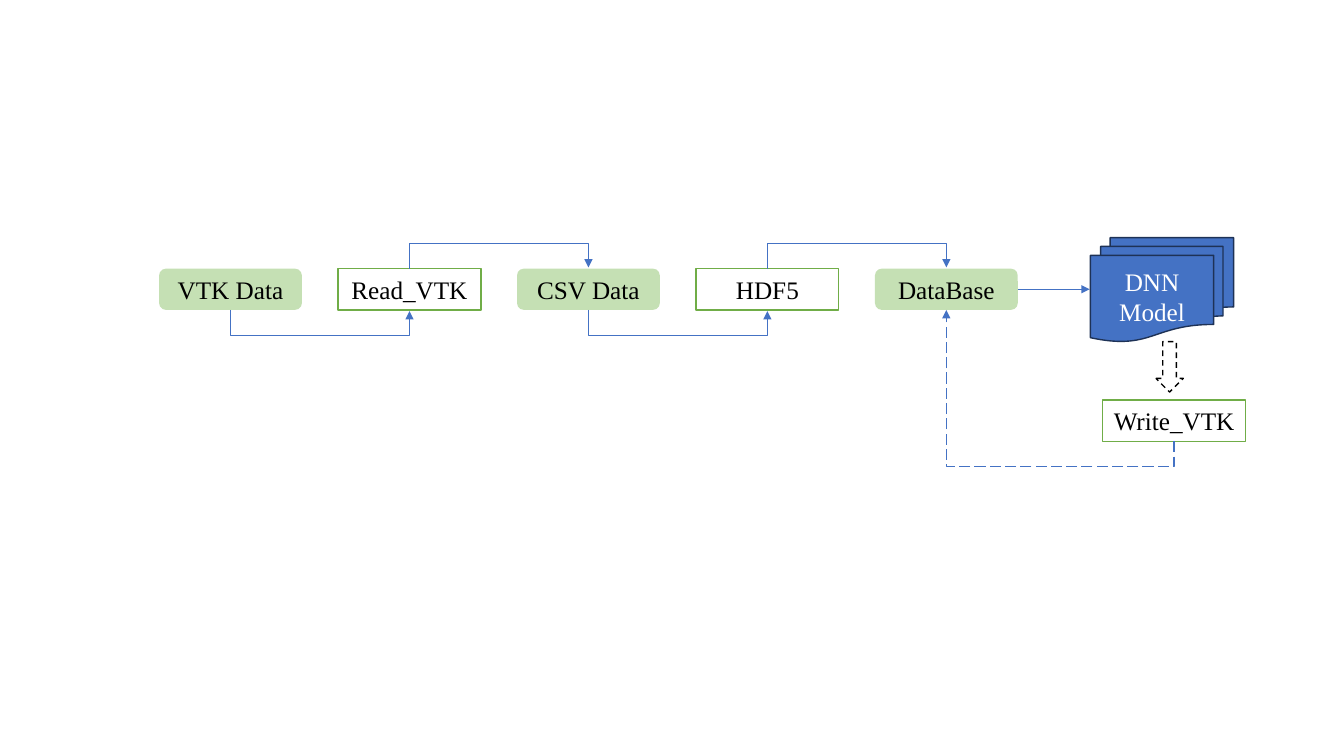
from lxml import etree
from pptx import Presentation
from pptx import util as u
from pptx.dml.color import RGBColor
from pptx.enum import dml, shapes, text
from pptx.oxml.ns import qn

BLACK = RGBColor(0x00, 0x00, 0x00)
WHITE = RGBColor(0xFF, 0xFF, 0xFF)
BLUE = RGBColor(0x44, 0x72, 0xC4)
NAVY = RGBColor(0x1E, 0x32, 0x56)
GREEN = RGBColor(0x70, 0xAD, 0x47)
PALE_GREEN = RGBColor(0xC5, 0xE0, 0xB4)

Preset = shapes.MSO_SHAPE
Dash = dml.MSO_LINE

BOX_WIDTH, BOX_HEIGHT = 3.6, 1.04
ROW_LEFT, ROW_TOP, PITCH = 4.01, 6.77, 4.51
ROW_BOTTOM = ROW_TOP + BOX_HEIGHT
BEND = 0.64
STEP = 0.03
STAGES = ["VTK Data", "Read_VTK", "CSV Data", "HDF5", "DataBase"]


class Flowchart:
    font_name = "Times New Roman"
    font_size = u.Pt(18)

    def __init__(self, slide):
        self.slide = slide

    def block(self, preset, left, top, width, height, fill=None, line=None, dash=None):
        block = self.slide.shapes.add_shape(
            preset, u.Cm(left), u.Cm(top), u.Cm(width), u.Cm(height))
        block.shadow.inherit = False
        if fill is None:
            block.fill.background()
        else:
            block.fill.solid()
            block.fill.fore_color.rgb = fill
        if line is None:
            block.line.fill.background()
        else:
            block.line.color.rgb = line
            block.line.width = u.Pt(1)
            block.line.dash_style = dash
        return block

    def label(self, block, words, color=BLACK, wrap=False):
        frame = block.text_frame
        frame.word_wrap = wrap
        frame.vertical_anchor = text.MSO_ANCHOR.MIDDLE
        para = frame.paragraphs[0]
        para.text = words
        para.alignment = text.PP_ALIGN.CENTER
        para.font.name = self.font_name
        para.font.size = self.font_size
        para.font.color.rgb = color

    def data(self, words, left, top):
        block = self.block(Preset.ROUNDED_RECTANGLE, left, top,
                           BOX_WIDTH, BOX_HEIGHT, PALE_GREEN)
        self.label(block, words)

    def process(self, words, left, top):
        block = self.block(Preset.RECTANGLE, left, top,
                           BOX_WIDTH, BOX_HEIGHT, WHITE, GREEN)
        self.label(block, words)

    def arrow(self, kind, start, end, width=0.5, dash=None):
        arrow = self.slide.shapes.add_connector(
            kind, *(u.Cm(value) for value in (*start, *end)))
        arrow.line.color.rgb = BLUE
        arrow.line.width = u.Pt(width)
        arrow.line.dash_style = dash
        properties = arrow._element.spPr
        etree.SubElement(properties.find(qn("a:ln")), qn("a:tailEnd"), type="triangle")
        etree.SubElement(properties, qn("a:effectLst"))
        return arrow

    def detour(self, start, end, bend_y, **style):
        (x1, y1), (x2, y2) = start, end
        middle_x, middle_y = (x1 + x2) / 2, (y1 + y2) / 2
        turn, sign = (270, -1) if x2 > x1 and y2 > y1 else (90, 1)
        half_width, half_height = sign * (y2 - y1) / 2, sign * (x2 - x1) / 2
        arrow = self.arrow(
            shapes.MSO_CONNECTOR.ELBOW,
            (middle_x - half_width, middle_y + half_height),
            (middle_x + half_width, middle_y - half_height), **style)
        properties = arrow._element.spPr
        properties.find(qn("a:xfrm")).set("rot", str(turn * 60000))
        guides = properties.find(qn("a:prstGeom")).find(qn("a:avLst"))
        ratio = round((bend_y - y1) / (y2 - y1) * 100000)
        etree.SubElement(guides, qn("a:gd"), name="adj1", fmla=f"val {ratio}")


def main():
    deck = Presentation()
    deck.slide_width, deck.slide_height = u.Cm(33.87), u.Cm(19.05)
    chart = Flowchart(deck.slides.add_slide(deck.slide_layouts[6]))

    for index, stage in enumerate(STAGES):
        draw = chart.process if index % 2 else chart.data
        draw(stage, ROW_LEFT + index * PITCH, ROW_TOP)

    centers = [ROW_LEFT + BOX_WIDTH / 2 + index * PITCH for index in range(len(STAGES))]
    for index, (x1, x2) in enumerate(zip(centers, centers[1:])):
        edge, side = (ROW_TOP, -1) if index % 2 else (ROW_BOTTOM, 1)
        chart.detour((x1, edge), (x2, edge + side * STEP), edge + side * BEND)

    row_middle = ROW_TOP + BOX_HEIGHT / 2
    database_right = centers[-1] + BOX_WIDTH / 2
    chart.arrow(shapes.MSO_CONNECTOR.STRAIGHT,
                (database_right, row_middle), (27.46, row_middle))

    write_left, write_top = 27.79, 10.08
    write_bottom = write_top + BOX_HEIGHT
    chart.process("Write_VTK", write_left, write_top)
    chart.detour((write_left + BOX_WIDTH / 2, write_bottom), (centers[-1], ROW_BOTTOM),
                 write_bottom + BEND, width=1, dash=Dash.LONG_DASH)

    model = chart.block(Preset.FLOWCHART_MULTIDOCUMENT, 27.48, 5.99, 3.61, 2.62, BLUE, NAVY)
    chart.label(model, "DNN Model", WHITE, wrap=True)
    chart.block(Preset.DOWN_ARROW, 29.13, 8.61, 0.69, 1.27, line=BLACK, dash=Dash.DASH)

    deck.save("out.pptx")


if __name__ == "__main__":
    main()
